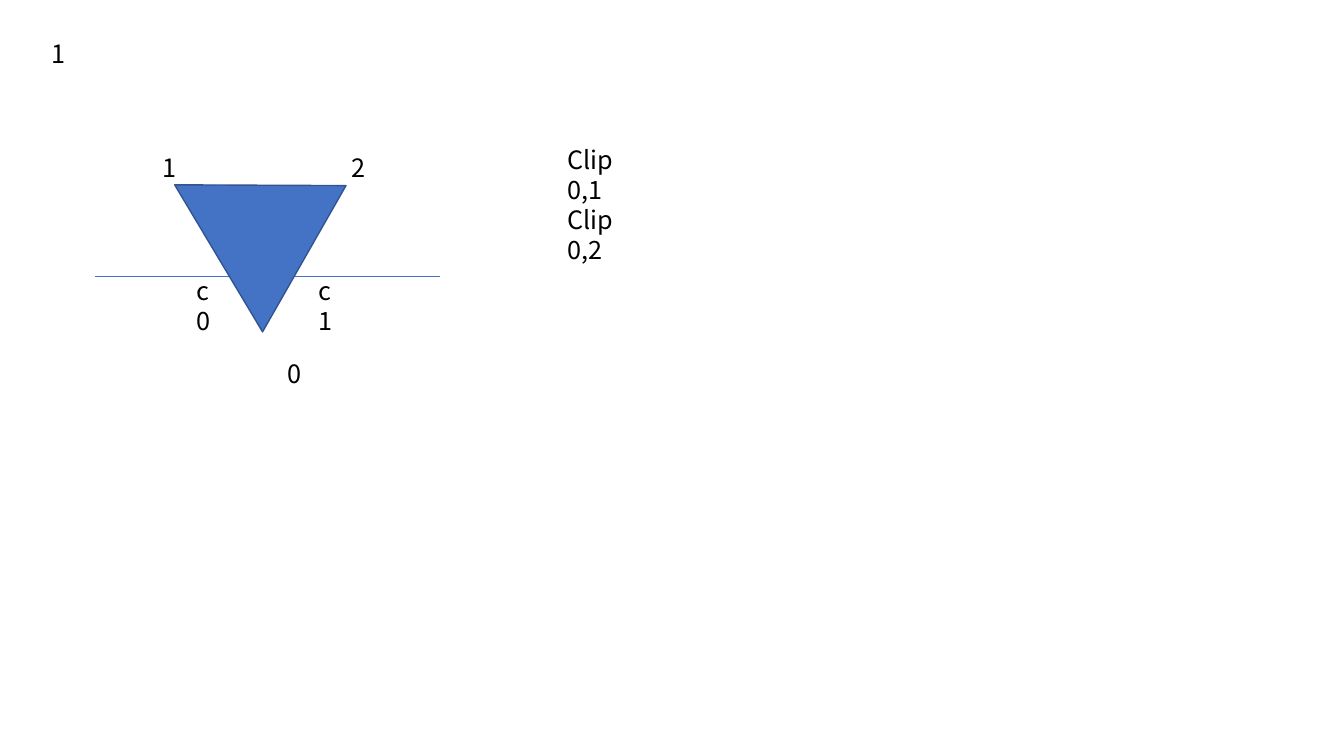
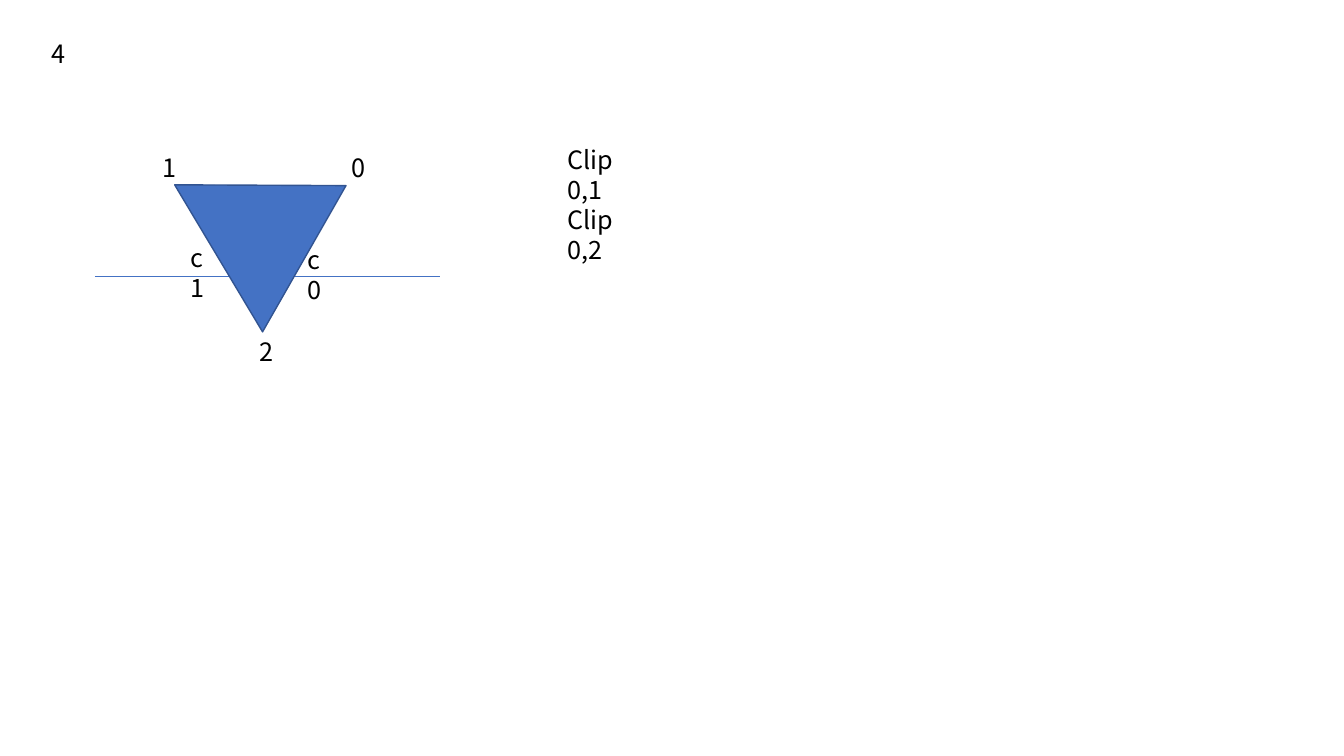
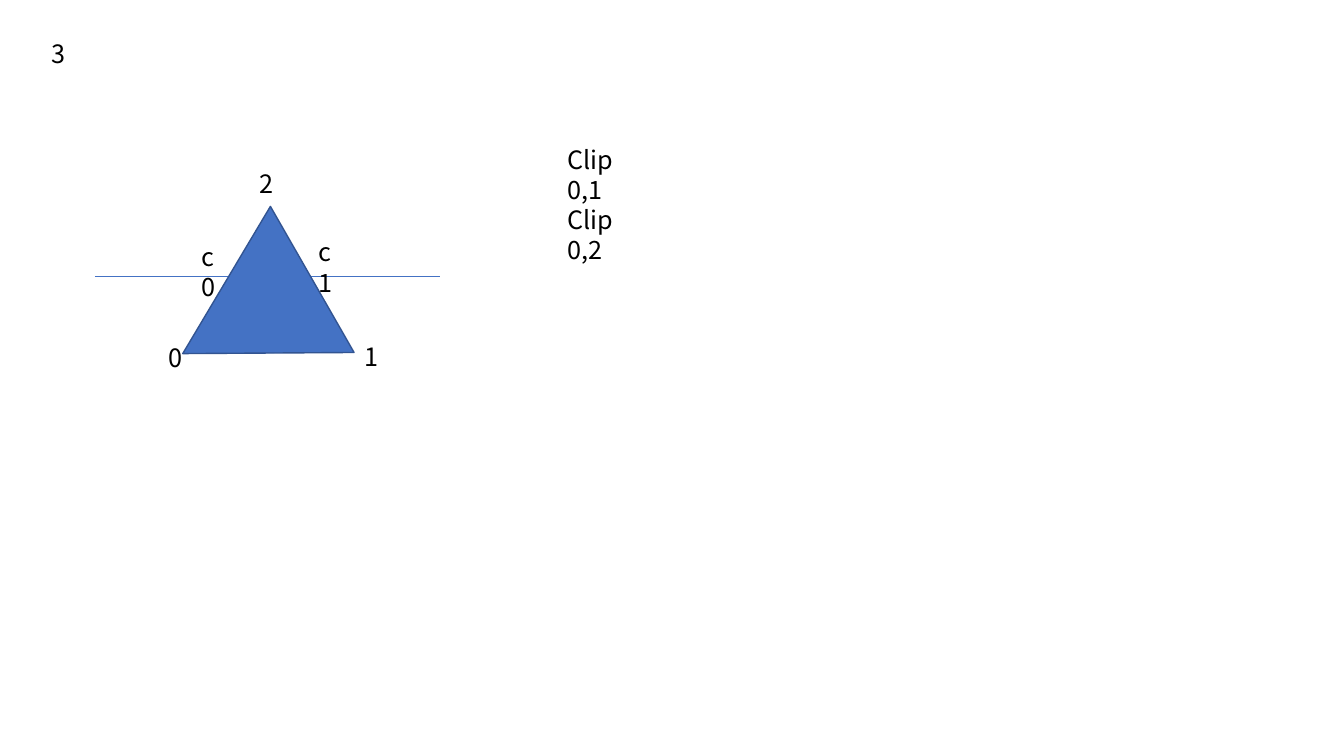
from dataclasses import dataclass

import pptx
import pptx.dml.color
import pptx.enum.shapes
import pptx.enum.text
import pptx.oxml.ns
import pptx.presentation
import pptx.slide
import pptx.text.text
import pptx.util
from lxml import etree

Inches = pptx.util.Inches
RGBColor = pptx.dml.color.RGBColor

BLUE = RGBColor(0x44, 0x72, 0xC4)
DARK_BLUE = RGBColor(0x32, 0x54, 0x91)
BLACK = RGBColor(0x00, 0x00, 0x00)
FONT = "Noto Sans CJK SC"
TEXT_SIZE = pptx.util.Pt(18)

LINE_HEIGHT = 0.3
MARGINS = 0.1
VERTEX_WIDTH = 0.34
CUT_WIDTH = 0.45
CLIP_WIDTH = 1.01
TRIANGLE_SIZE = (1.67, 1.48)


@dataclass(frozen=True)
class Label:
    text: str
    left: float
    top: float
    width: float = VERTEX_WIDTH


@dataclass(frozen=True)
class Triangle:
    left: float
    top: float
    rotation: float


@dataclass(frozen=True)
class ClipCase:
    title: str
    triangle: Triangle
    labels: tuple[Label, ...]


POINT_DOWN = Triangle(1.54, 1.46, 299.7)
POINT_UP = Triangle(1.62, 2.4, 240.2)
CLIP_STEPS = Label("Clip 0,1\nClip 0,2", 5.53, 1.38, CLIP_WIDTH)

CASES = (
    ClipCase("1", POINT_DOWN, (
        Label("0", 2.75, 3.51),
        Label("1", 1.51, 1.46),
        Label("2", 3.39, 1.46),
        Label("c0", 1.85, 2.68, CUT_WIDTH),
        Label("c1", 3.06, 2.68, CUT_WIDTH),
    )),
    ClipCase("4", POINT_DOWN, (
        Label("2", 2.48, 3.29),
        Label("1", 1.51, 1.46),
        Label("0", 3.39, 1.46),
        Label("c0", 2.95, 2.37, CUT_WIDTH),
        Label("c1", 1.79, 2.35, CUT_WIDTH),
    )),
    ClipCase("3", POINT_UP, (
        Label("1", 3.52, 3.34),
        Label("0", 1.57, 3.35),
        Label("2", 2.48, 1.62),
        Label("c0", 1.9, 2.34, CUT_WIDTH),
        Label("c1", 3.06, 2.3, CUT_WIDTH),
    )),
)


def write(tf: pptx.text.text.TextFrame, text: str) -> None:
    tf.text = text
    tf.word_wrap = True
    tf.vertical_anchor = pptx.enum.text.MSO_ANCHOR.TOP
    for p in tf.paragraphs:
        p.alignment = pptx.enum.text.PP_ALIGN.LEFT
        for r in p.runs:
            r.font.name = FONT
            r.font.size = TEXT_SIZE
            r.font.color.rgb = BLACK


def add_title(s: pptx.slide.Slide, text: str) -> None:
    sp = s.shapes.title
    sp.left, sp.top = Inches(0.41), Inches(0.33)
    sp.width, sp.height = Inches(VERTEX_WIDTH), Inches(LINE_HEIGHT + MARGINS)
    write(sp.text_frame, text)
    sp.text_frame.auto_size = pptx.enum.text.MSO_AUTO_SIZE.NONE


def add_clip_line(s: pptx.slide.Slide) -> None:
    line = s.shapes.add_connector(
        pptx.enum.shapes.MSO_CONNECTOR.STRAIGHT,
        Inches(0.94), Inches(2.74), Inches(4.36), Inches(2.74))
    line.line.color.rgb = BLUE
    line.line.width = pptx.util.Pt(0.5)
    etree.SubElement(line._element.spPr, pptx.oxml.ns.qn("a:effectLst"))


def add_triangle(s: pptx.slide.Slide, triangle: Triangle) -> None:
    width, height = TRIANGLE_SIZE
    sp = s.shapes.add_shape(
        pptx.enum.shapes.MSO_SHAPE.ISOSCELES_TRIANGLE,
        Inches(triangle.left), Inches(triangle.top), Inches(width), Inches(height))
    sp.rotation = triangle.rotation
    sp.shadow.inherit = False
    sp.fill.solid()
    sp.fill.fore_color.rgb = BLUE
    sp.line.color.rgb = DARK_BLUE
    sp.line.width = pptx.util.Pt(1)


def add_label(s: pptx.slide.Slide, label: Label) -> None:
    height = LINE_HEIGHT * len(label.text.split("\n")) + MARGINS
    sp = s.shapes.add_textbox(
        Inches(label.left), Inches(label.top), Inches(label.width), Inches(height))
    write(sp.text_frame, label.text)


def add_case(prs: pptx.presentation.Presentation, case: ClipCase) -> None:
    s = prs.slides.add_slide(prs.slide_layouts.get_by_name("Title Only"))
    add_title(s, case.title)
    add_clip_line(s)
    add_triangle(s, case.triangle)
    for label in (*case.labels, CLIP_STEPS):
        add_label(s, label)


def main() -> None:
    prs = pptx.Presentation()
    prs.slide_width, prs.slide_height = Inches(13.33), Inches(7.5)
    for case in CASES:
        add_case(prs, case)
    prs.save("out.pptx")


if __name__ == "__main__":
    main()
